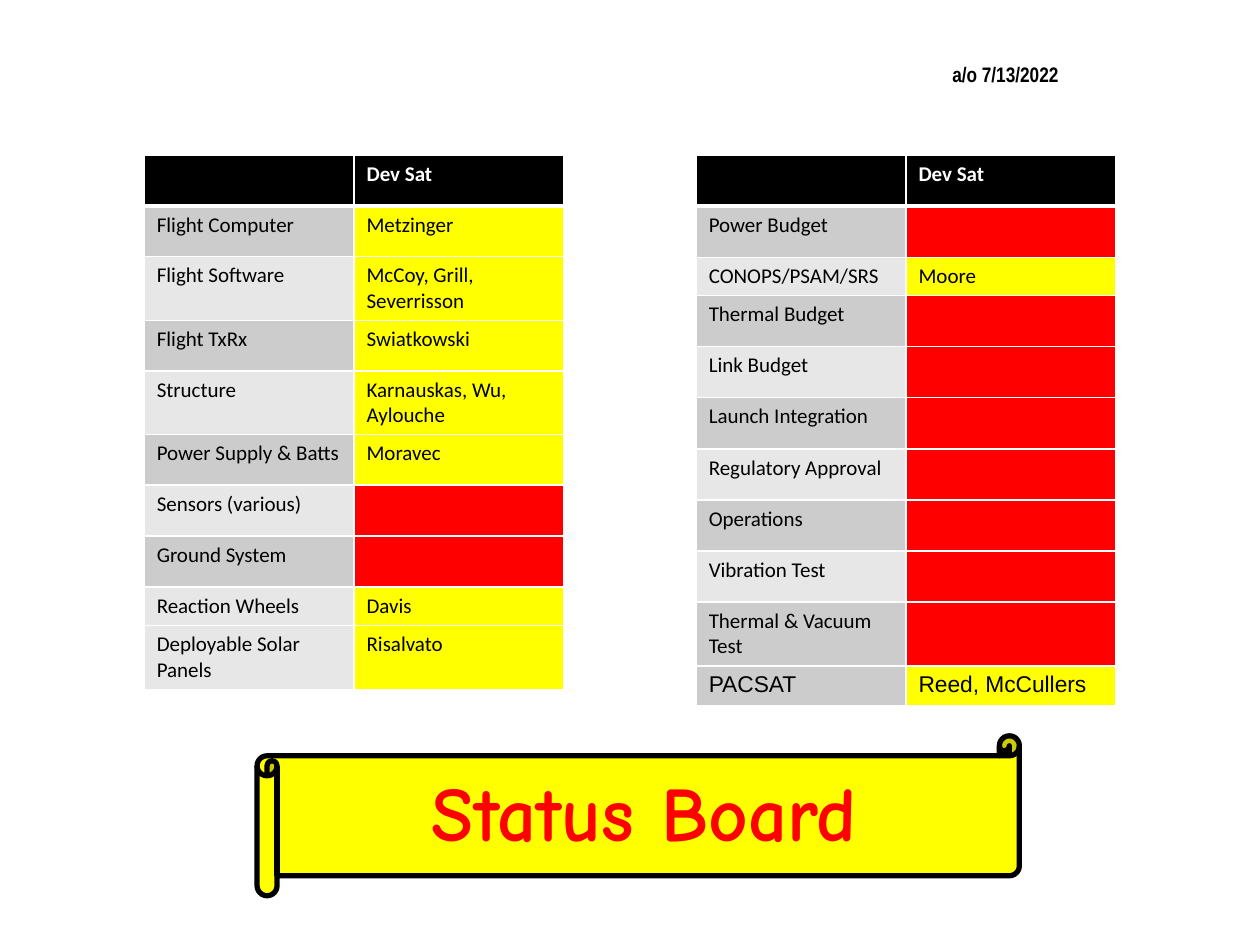
from lxml.etree import SubElement
from pptx import Presentation
from pptx.dml.color import RGBColor
from pptx.enum.shapes import MSO_SHAPE
from pptx.enum.text import PP_ALIGN
from pptx.oxml.ns import qn
from pptx.util import Pt

BLACK = RGBColor(0x00, 0x00, 0x00)
WHITE = RGBColor(0xFF, 0xFF, 0xFF)
DARK_BAND = RGBColor(0xCC, 0xCC, 0xCC)
LIGHT_BAND = RGBColor(0xE7, 0xE7, 0xE7)
YELLOW = RGBColor(0xFF, 0xFF, 0x00)
RED = RGBColor(0xFF, 0x00, 0x00)

THIN, THICK = 0.96, 3
ONE_LINE, STANDARD, TWO_LINES = 21.7, 28.8, 35.8
COLUMN_WIDTH = 119.9
BODY_FONT = ("Calibri", 12)
PACSAT_FONT = ("Arial", 13)

# Each row: task, owner (empty means unassigned), height
HARDWARE_TASKS = [
    ("Flight Computer", "Metzinger", STANDARD),
    ("Flight Software", "McCoy, Grill, Severrisson", TWO_LINES),
    ("Flight TxRx", "Swiatkowski", STANDARD),
    ("Structure", "Karnauskas, Wu, Aylouche", TWO_LINES),
    ("Power Supply & Batts", "Moravec", STANDARD),
    ("Sensors (various)", "", STANDARD),
    ("Ground System", "", STANDARD),
    ("Reaction Wheels", "Davis", ONE_LINE),
    ("Deployable Solar Panels", "Risalvato", TWO_LINES),
]
MISSION_TASKS = [
    ("Power Budget", "", STANDARD),
    ("CONOPS/PSAM/SRS", "Moore", ONE_LINE),
    ("Thermal Budget", "", STANDARD),
    ("Link Budget", "", STANDARD),
    ("Launch Integration", "", STANDARD),
    ("Regulatory Approval", "", STANDARD),
    ("Operations", "", STANDARD),
    ("Vibration Test", "", STANDARD),
    ("Thermal & Vacuum Test", "", TWO_LINES),
    ("PACSAT", "Reed, McCullers", 22.7),
]


def format_font(paragraph, name, size, color, bold):
    for run in paragraph.runs:
        run.font.name = name
        run.font.size = Pt(size)
        run.font.color.rgb = color
        run.font.bold = bold


def set_borders(cell, top, bottom):
    properties = cell._tc.get_or_add_tcPr()
    widths = {"a:lnL": THIN, "a:lnR": THIN, "a:lnT": top, "a:lnB": bottom}
    for tag, width in widths.items():
        line = SubElement(properties, qn(tag), w=str(Pt(width)))
        fill = SubElement(line, qn("a:solidFill"))
        SubElement(fill, qn("a:srgbClr"), val=str(WHITE))


def fill_cell(cell, text, fill, font, color=BLACK, bold=False, top=THIN, bottom=THIN):
    set_borders(cell, top, bottom)
    cell.fill.solid()
    cell.fill.fore_color.rgb = fill
    if text:
        cell.text_frame.text = text
        format_font(cell.text_frame.paragraphs[0], *font, color, bold)


def add_status_table(slide, left, top, tasks, last_font=BODY_FONT):
    heights = [STANDARD] + [height for _, _, height in tasks]
    table = slide.shapes.add_table(
        len(heights), 2, Pt(left), Pt(top), Pt(2 * COLUMN_WIDTH), Pt(sum(heights))
    ).table
    for column in table.columns:
        column.width = Pt(COLUMN_WIDTH)
    for row, height in zip(table.rows, heights):
        row.height = Pt(height)

    # Header
    for column, heading in enumerate(("", "Dev Sat")):
        fill_cell(table.cell(0, column), heading, BLACK, BODY_FONT, WHITE, True, bottom=THICK)

    # Tasks: bands alternate, and the last row keeps the band above it
    last = len(tasks)
    for row, (task, owner, _) in enumerate(tasks, start=1):
        band_row = min(row, last - 1)
        band = DARK_BAND if band_row % 2 else LIGHT_BAND
        font = last_font if row == last else BODY_FONT
        border = THICK if row == 1 else THIN
        fill_cell(table.cell(row, 0), task, band, font, top=border)
        fill_cell(table.cell(row, 1), owner, YELLOW if owner else RED, font, top=border)


def add_text(shapes, box, text, font, size, color, alignment=PP_ALIGN.LEFT):
    text_box = shapes.add_textbox(*map(Pt, box))
    text_frame = text_box.text_frame
    text_frame.word_wrap = True
    text_frame.text = text
    paragraph = text_frame.paragraphs[0]
    paragraph.alignment = alignment
    format_font(paragraph, font, size, color, True)


def add_banner(slide, left, top, width, height):
    group = slide.shapes.add_group_shape()
    # Scroll
    scroll = group.shapes.add_shape(
        MSO_SHAPE.HORIZONTAL_SCROLL, Pt(left), Pt(top), Pt(width), Pt(height)
    )
    scroll.shadow.inherit = False
    scroll.adjustments[0] = 0.125
    scroll.fill.solid()
    scroll.fill.fore_color.rgb = YELLOW
    scroll.line.color.rgb = BLACK
    scroll.line.width = Pt(3)
    # Title
    title_box = (left - 21.6, top + 13, width + 50.4, 59.8)
    add_text(group.shapes, title_box, "Status Board", "Comic Neue", 44, RED, PP_ALIGN.CENTER)


def main():
    presentation = Presentation()
    presentation.slide_width = Pt(720)
    presentation.slide_height = Pt(540)
    slide = presentation.slides.add_slide(presentation.slide_layouts[6])

    add_status_table(slide, 82.4, 88.6, HARDWARE_TASKS)
    add_status_table(slide, 397.8, 88.6, MISSION_TASKS, PACSAT_FONT)
    add_banner(slide, 146.9, 420.5, 435.6, 91.4)
    # Date of the status
    add_text(slide.shapes, (537.1, 31.7, 90.7, 21.6), "a/o 7/13/2022", "Arial Narrow", 12, BLACK)

    presentation.save("out.pptx")


if __name__ == "__main__":
    main()
